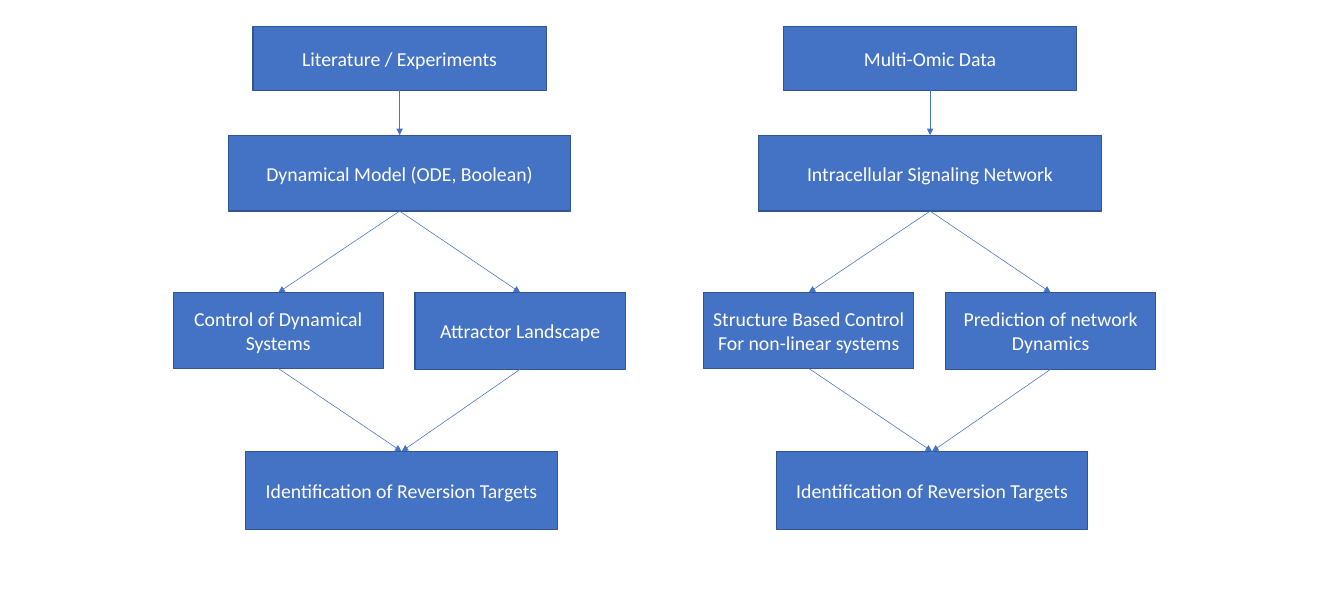
from lxml.etree import SubElement
from pptx import Presentation
from pptx.dml.color import RGBColor
from pptx.enum.shapes import MSO_CONNECTOR, MSO_SHAPE
from pptx.enum.text import MSO_ANCHOR, PP_ALIGN
from pptx.oxml.ns import qn
from pptx.util import Inches, Pt

BLUE, BORDER, WHITE = "4472C4", "325491", "FFFFFF"
TOP_SITE, BOTTOM_SITE = 0, 2

# Step: left, top, width, height in inches, relative to the flowchart's corner
STEPS = {
    "source": (1.01, 0, 3.71, 0.8),
    "model": (0.7, 1.37, 4.33, 0.96),
    "control": (0, 3.36, 2.66, 0.96),
    "dynamics": (3.06, 3.36, 2.66, 0.97),
    "targets": (0.92, 5.37, 3.94, 0.99),
}
ARROWS = [
    ("source", "model"),
    ("model", "control"),
    ("model", "dynamics"),
    ("control", "targets"),
    ("dynamics", "targets"),
]


def color(value):
    return RGBColor.from_string(value)


def write_text(shape, text, size=18, font="Calibri", fill=WHITE):
    frame = shape.text_frame
    frame.word_wrap = True
    frame.vertical_anchor = MSO_ANCHOR.MIDDLE
    paragraph = frame.paragraphs[0]
    paragraph.alignment = PP_ALIGN.CENTER
    run = paragraph.add_run()
    run.text = text
    run.font.size = Pt(size)
    run.font.name = font
    run.font.color.rgb = color(fill)


def add_step(slide, text, left, top, width, height):
    shape = slide.shapes.add_shape(
        MSO_SHAPE.RECTANGLE, Inches(left), Inches(top), Inches(width), Inches(height)
    )
    shape.shadow.inherit = False
    shape.fill.solid()
    shape.fill.fore_color.rgb = color(BLUE)
    shape.line.color.rgb = color(BORDER)
    shape.line.width = Pt(1)
    write_text(shape, text)
    return shape


def add_arrow(slide, start, end):
    """Join the bottom of one step to the top of the next."""
    connector = slide.shapes.add_connector(MSO_CONNECTOR.STRAIGHT, 0, 0, 0, 0)
    connector.begin_connect(start, BOTTOM_SITE)
    connector.end_connect(end, TOP_SITE)
    connector.line.color.rgb = color(BLUE)
    connector.line.width = Pt(0.5)
    SubElement(connector.line._get_or_add_ln(), qn("a:tailEnd"), type="triangle")
    SubElement(connector._element.spPr, qn("a:effectLst"))


def add_flowchart(slide, left, top, texts):
    shapes = {}
    for (name, (x, y, width, height)), text in zip(STEPS.items(), texts):
        shapes[name] = add_step(slide, text, left + x, top + y, width, height)
    for start, end in ARROWS:
        add_arrow(slide, shapes[start], shapes[end])


def main():
    presentation = Presentation()
    presentation.slide_width = Inches(17)
    presentation.slide_height = Inches(7.5)
    slide = presentation.slides.add_slide(presentation.slide_layouts[6])
    add_flowchart(slide, 2.19, 0.34, [
        "Literature / Experiments",
        "Dynamical Model (ODE, Boolean)",
        "Control of Dynamical Systems",
        "Attractor Landscape",
        "Identification of Reversion Targets",
    ])
    add_flowchart(slide, 8.9, 0.34, [
        "Multi-Omic Data",
        "Intracellular Signaling Network",
        "Structure Based Control For non-linear systems",
        "Prediction of network Dynamics",
        "Identification of Reversion Targets",
    ])
    presentation.save("out.pptx")


if __name__ == "__main__":
    main()
